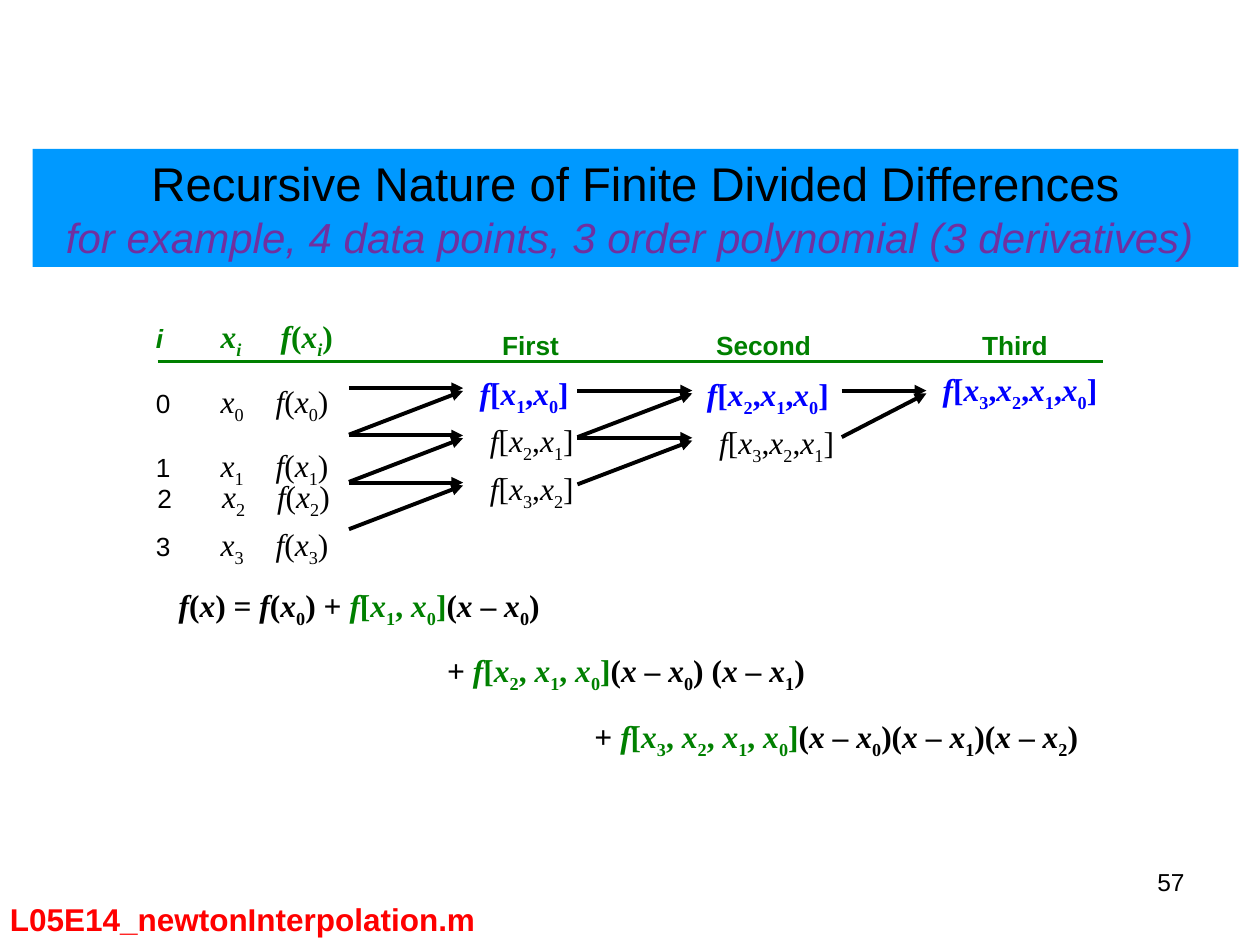
from itertools import groupby

from lxml import etree
from pptx import Presentation
from pptx.dml.color import RGBColor
from pptx.enum import shapes, text
from pptx.oxml import ns
from pptx.util import Pt

INK = {"black": "000000", "green": "008000", "blue": "0000FF",
       "red": "FF0000", "purple": "7030A0", "band": "0099FF"}
SANS, SERIF = "Arial", "Times New Roman"
LEFT, MID, RIGHT = (text.PP_ALIGN.LEFT, text.PP_ALIGN.CENTER,
                    text.PP_ALIGN.RIGHT)


class Deck:
    """Draws styled elements on the current slide."""

    def __init__(self, wide, high):
        self.prs = Presentation()
        self.prs.slide_width, self.prs.slide_height = Pt(wide), Pt(high)
        self.slide = self.prs.slides.add_slide(self.prs.slide_layouts[6])

    def style(self, font, name, size, ink=None, bold=None, slant=None):
        font.name, font.size = name, Pt(size)
        font.bold, font.italic = bold, slant
        if ink:
            font.color.rgb = RGBColor.from_string(INK[ink])

    def band(self, x, y, w, h, lines):
        bar = self.slide.shapes.add_shape(
            shapes.MSO_SHAPE.RECTANGLE, Pt(x), Pt(y), Pt(w), Pt(h))
        bar.shadow.inherit = False
        bar.fill.solid()
        bar.fill.fore_color.rgb = RGBColor.from_string(INK["band"])
        bar.line.fill.background()
        frame = bar.text_frame
        frame.margin_left = frame.margin_right = Pt(5)
        frame.margin_top = frame.margin_bottom = Pt(3)
        frame.vertical_anchor = text.MSO_ANCHOR.MIDDLE
        frame.text = "\n".join(line for line, *_ in lines)
        for para, (_, size, ink, slant) in zip(frame.paragraphs, lines):
            para.alignment = MID
            self.style(para.font, SANS, size, ink, slant=slant)

    def box(self, x, y, w, h, wrap=False):
        frame = self.slide.shapes.add_textbox(
            Pt(x), Pt(y), Pt(w), Pt(h)).text_frame
        frame.word_wrap = wrap
        frame.auto_size = text.MSO_AUTO_SIZE.SHAPE_TO_FIT_TEXT
        return frame

    def label(self, x, y, w, h, words, size, ink, bold=True, align=LEFT,
              space=1, wrap=False):
        para = self.box(x, y, w, h, wrap).paragraphs[0]
        para.text, para.alignment, para.line_spacing = words, align, space
        self.style(para.font, SANS, size, ink, bold)

    def spell(self, para, code, ink, bold):
        """Add maths: _ lowers the next sign, braces turn text green."""
        self.style(para.font, SERIF, 18, bold=bold)
        marks, hue, low = [], ink, False
        for sign in code:
            if sign in "{}":
                hue = "green" if sign == "{" else ink
            elif sign == "_":
                low = True
            else:
                marks.append((sign, (sign in "fxi", low, hue)))
                low = False
        for (slant, low, hue), group in groupby(marks, lambda m: m[1]):
            run = para.add_run()
            run.text = "".join(sign for sign, _ in group)
            run.font.italic = slant
            run.font.color.rgb = RGBColor.from_string(INK[hue])
            if low:
                run.font._element.set("baseline", "-25000")

    def maths(self, x, y, w, h, code, ink="black", bold=False, align=LEFT,
              space=1):
        para = self.box(x, y, w, h).paragraphs[0]
        para.alignment, para.line_spacing = align, space
        self.spell(para, code, ink, bold)

    def rows(self, x, y, w, h, items):
        frame = self.box(x, y, w, h, True)
        for spot, (key, code, ink, bold, stops) in enumerate(items):
            para = frame.add_paragraph() if spot else frame.paragraphs[0]
            para.line_spacing = 1.5
            run = para.add_run()
            run.text = key
            self.style(run.font, SANS, 15, ink, bold, key == "i")
            self.spell(para, code, ink, bold)
            tabs = etree.Element(ns.qn("a:tabLst"))
            for stop in stops:
                etree.SubElement(tabs, ns.qn("a:tab"),
                                 pos=str(Pt(stop)), algn="l")
            para.font._element.addprevious(tabs)

    def line(self, x1, y1, x2, y2, ink="black", arrow=True):
        link = self.slide.shapes.add_connector(
            shapes.MSO_CONNECTOR.STRAIGHT, Pt(x1), Pt(y1), Pt(x2), Pt(y2))
        link.line.width = Pt(2.25)
        link.line.color.rgb = RGBColor.from_string(INK[ink])
        if arrow:
            etree.SubElement(link.line._get_or_add_ln(),
                             ns.qn("a:tailEnd"), type="triangle")
        etree.SubElement(link._element.spPr, ns.qn("a:effectLst"))


def point(num):
    return (str(num), f"\tx_{num}\tf(x_{num})", "black", False, (37, 68.4))


def main():
    deck = Deck(720, 540)
    deck.band(18.7, 85, 689, 67.5, [
        ("Recursive Nature of Finite Divided Differences", 27, "black", False),
        ("for example, 4 data points, 3 order polynomial (3 derivatives) ",
         24, "purple", True)])

    head = ("i", "\tx_i\tf(x_i)", "green", True, (37, 71.3))
    deck.rows(82, 165.6, 120, 101.5, [head, point(0), point(1)])
    deck.rows(82.8, 257, 120, 36, [point(2)])
    deck.rows(82, 284.4, 120, 36, [point(3)])
    for x, w, name in ((279.4, 47.5, "First"), (401.8, 69, "Second"),
                       (553.7, 52.6, "Third")):
        deck.label(x, 175.7, w, 31, name, 15, "green", align=MID, space=1.5)
    deck.line(90, 206.6, 630, 206.6, "green", False)

    for x, y, w, code in ((265.7, 198, 67.7, "f[x_1,x_0]"),
                          (395.3, 198.7, 87, "f[x_2,x_1,x_0]")):
        deck.maths(x, y, w, 36, code, "blue", True, MID, 1.5)
    deck.maths(529.2, 208, 107.3, 28.8, "f[x_3,x_2,x_1,x_0]", "blue", True,
               MID)
    for x, y, w, code in ((272.9, 224.6, 64.8, "f[x_2,x_1]"),
                          (272.9, 252, 64.8, "f[x_3,x_2]"),
                          (403.9, 226, 83.5, "f[x_3,x_2,x_1]")):
        deck.maths(x, y, w, 36, code, space=1.5)

    for x1, x2, top, count in ((199.4, 264.6, 221.8, 3),
                               (330, 395.6, 223.2, 2),
                               (481, 529.4, 223.2, 1)):
        for step in range(count):
            y = top + 27 * step
            deck.line(x1, y, x2, y)
            deck.line(x1, y + 26.6, x2, y + 1.6)

    sums = ((95, 230.4, "f(x) = f(x_0) + {f[x_1, x_0]}(x – x_0)"),
            (248.4, 229.7, "+ {f[x_2, x_1, x_0]}(x – x_0) (x – x_1)"),
            (332.6, 303.8,
             "+ {f[x_3, x_2, x_1, x_0]}(x – x_0)(x – x_1)(x – x_2)"))
    for step, (x, w, code) in enumerate(sums):
        deck.maths(x, 331.2 + 37.4 * step, w, 28.8, code, bold=True)

    deck.label(516.2, 491.8, 167.8, 37.4, "57", 14, "black", False, RIGHT,
               wrap=True)
    deck.label(-1.4, 510.5, 290.9, 28.8, "L05E14_newtonInterpolation.m",
               18, "red", wrap=True)
    deck.prs.save("out.pptx")


if __name__ == "__main__":
    main()
